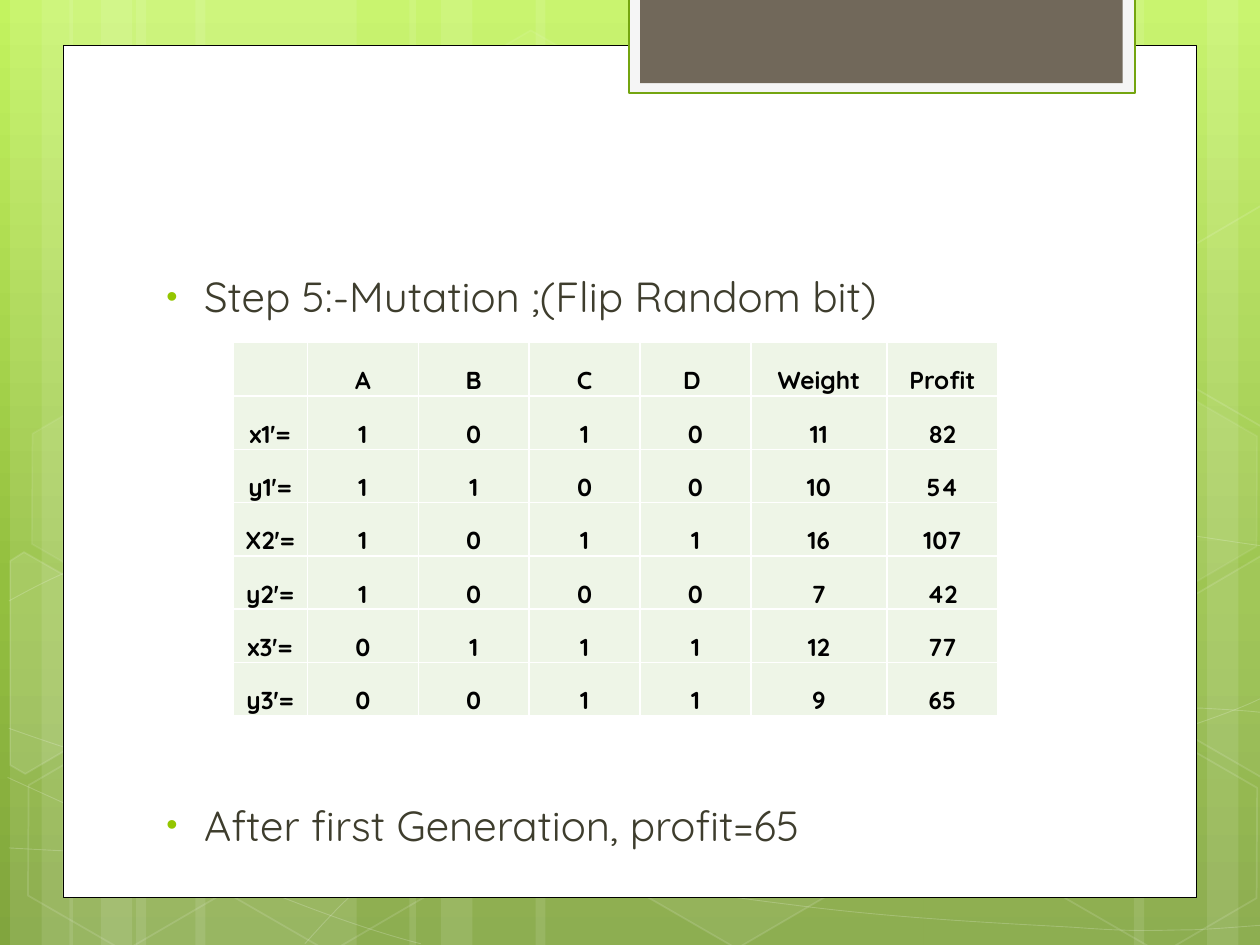
from math import cos, radians, sin

from lxml.etree import SubElement
from pptx import Presentation
from pptx.dml.color import RGBColor
from pptx.enum.shapes import MSO_SHAPE
from pptx.enum.text import MSO_ANCHOR, MSO_AUTO_SIZE, PP_ALIGN
from pptx.oxml.ns import qn
from pptx.util import Inches, Pt

RECT, HEXAGON = MSO_SHAPE.RECTANGLE, MSO_SHAPE.HEXAGON
TOP, BOTTOM, CENTER = MSO_ANCHOR.TOP, MSO_ANCHOR.BOTTOM, PP_ALIGN.CENTER
NO_AUTOFIT = MSO_AUTO_SIZE.NONE
FONT = "Quicksand"
TILT = 30
COLORS = {
    "white": "FFFFFF", "black": "000000", "tab_frame": "F5F5F5",
    "tab_line": "74A510", "tab": "71685A", "bullet": "94C600",
    "text": "3E3D2D", "cell": "EEF5E7",
}
BACKDROP = [(0, "C3F35F"), (62, "93BF3F"), (100, "81A53E")]


def paint(shape, fill=None, fill_opacity=100, line=None, width=1, line_opacity=100):
    """Fill and outline a shape; opacities are percentages."""
    shape.shadow.inherit = False
    for target, color, opacity in ((shape.fill, fill, fill_opacity),
                                   (shape.line.fill, line, line_opacity)):
        if color is None:
            target.background()
            continue
        target.solid()
        target.fore_color.rgb = RGBColor.from_string(COLORS[color])
        if opacity < 100:
            parent = shape._element.spPr
            if target is not shape.fill:
                parent = parent.find(qn("a:ln"))
            srgb = parent.find(qn("a:solidFill")).find(qn("a:srgbClr"))
            SubElement(srgb, qn("a:alpha"), val=str(opacity * 1000))
    if line:
        shape.line.width = Pt(width)


def outline(shapes, points, close):
    """Draw a freeform through points given in inches."""
    points = [(Inches(x), Inches(y)) for x, y in points]
    builder = shapes.build_freeform(*points[0])
    builder.add_line_segments(points[1:], close=close)
    return builder.convert_to_shape()


prs = Presentation()
prs.slide_width, prs.slide_height = Inches(10), Inches(7.5)
slide = prs.slides.add_slide(prs.slide_layouts[1])
shapes = slide.shapes
title = shapes.title._element
title.getparent().remove(title)
steps = slide.placeholders[1]

# Background gradient, light at the top
backdrop = slide.background.fill
backdrop.gradient()
backdrop.gradient_angle = 270
stops = next(slide.element.iter(qn("a:gsLst")))
for stop in list(stops):
    stops.remove(stop)
for position, color in BACKDROP:
    stop = SubElement(stops, qn("a:gs"), pos=str(position * 1000))
    SubElement(stop, qn("a:srgbClr"), val=color)

# Translucent vertical bands: left, width
for left, width in [(1.08, 1.75), (0.08, 0.5), (0.33, 0.83), (1.55, 1.75),
                    (0.55, 0.5), (0.8, 0.83), (7.33, 1.75), (9.58, 0.5),
                    (9, 0.83), (4.25, 3.08), (3.25, 0.5), (3.5, 0.83)]:
    band = shapes.add_shape(RECT, Inches(left), 0, Inches(width), prs.slide_height)
    paint(band, "white", 10)

# Sweeping curves: a start point, then two control points and an end per piece
curves = [
    [(0.07, 6.73), (0.61, 6.76), (1.15, 6.79), (1.9, 6.78), (2.65, 6.77),
     (3.58, 6.75), (4.58, 6.65), (5.58, 6.55), (7, 6.36), (7.92, 6.17),
     (8.83, 5.98), (9.77, 5.68), (10.07, 5.51)],
    [(0.07, 4.77), (0.36, 4.61), (0.65, 4.46), (1.21, 4.31), (1.78, 4.16),
     (2.59, 3.94), (3.47, 3.87), (4.36, 3.8), (5.44, 3.79), (6.54, 3.87),
     (7.64, 3.95), (9.47, 4.26), (10.07, 4.34)],
    [(0.06, 6.17), (1.27, 6.72), (2.47, 7.27), (3.34, 7.49)],
    [(0.07, 5.78), (0.38, 5.89), (0.7, 6), (1.28, 6.16), (1.86, 6.31),
     (2.73, 6.56), (3.57, 6.73), (4.4, 6.9), (5.45, 7.08), (6.28, 7.18),
     (7.11, 7.29), (8, 7.33), (8.53, 7.36), (9.05, 7.4), (9.19, 7.38),
     (9.45, 7.38), (9.71, 7.37), (9.89, 7.35), (10.07, 7.34)],
    [(2.42, 7.49), (2.6, 7.29), (2.78, 7.09), (3.02, 6.91), (3.26, 6.73),
     (3.6, 6.53), (3.88, 6.39), (4.16, 6.25), (4.33, 6.19), (4.7, 6.09),
     (5.06, 5.99), (5.73, 5.85), (6.08, 5.78), (6.44, 5.71), (6.49, 5.71),
     (6.8, 5.69), (7.11, 5.66), (7.6, 5.63), (7.94, 5.62), (8.29, 5.61),
     (8.86, 5.62), (8.86, 5.62), (9.08, 5.62), (9.31, 5.62), (9.53, 5.62),
     (9.71, 5.63), (9.88, 5.64), (9.97, 5.65), (10.06, 5.66), (10.03, 5.65),
     (10.06, 5.66)],
]
for curve in curves:
    sweep = outline(shapes, curve, False)
    # Turn every three straight segments into one Bézier piece
    route = next(sweep._element.iter(qn("a:path")))
    segments = route.findall(qn("a:lnTo"))
    for i in range(0, len(segments), 3):
        bezier = SubElement(route, qn("a:cubicBezTo"))
        for segment in segments[i:i + 3]:
            bezier.append(segment[0])
            route.remove(segment)
    paint(sweep, line="white", width=0.5, line_opacity=20)

# Tilted hexagons: left, top, fill opacity, line opacity
for left, top, fill_opacity, line_opacity in [
        (3.34, 0.36, 4, 8), (4.97, 5.89, 6, 12), (0.11, 5.91, 0, 12),
        (0.14, 3.12, 7, 8), (1.74, 5.92, 0, 12), (7.53, 4.53, 10, 12),
        (8.34, 5.93, 0, 12), (8.34, 3.14, 7, 8)]:
    honeycomb = shapes.add_shape(HEXAGON, Inches(left), Inches(top), Inches(1.75), Inches(1.52))
    honeycomb.adjustments[0] = 0.285
    honeycomb.adjustments[1] = 1.155
    honeycomb.rotation = TILT
    paint(honeycomb, "white" if fill_opacity else None, fill_opacity, "white", 1, line_opacity)

# Hexagons cut off by the slide edges: centre, corners as seen, fill opacity
for (cx, cy), corners, fill_opacity in [
        ((0.36, 5.35), [(0.08, 4.45), (0.19, 4.38), (0.96, 4.82),
                        (0.95, 5.7), (0.2, 6.14), (0.08, 6.07)], 10),
        ((9.85, 5.2), [(9.26, 4.85), (10.01, 4.41), (10.09, 4.46),
                       (10.09, 6.13), (10.02, 6.17), (9.26, 5.73)], 4),
        ((9.85, 2.41), [(9.26, 2.07), (10.01, 1.63), (10.1, 1.68),
                        (10.09, 3.35), (10.02, 3.39), (9.26, 2.95)], 0)]:
    c, s = cos(radians(TILT)), sin(radians(TILT))
    upright = [(cx + (x - cx) * c + (y - cy) * s, cy - (x - cx) * s + (y - cy) * c)
               for x, y in corners]
    cut = outline(shapes, upright, True)
    cut.rotation = TILT
    paint(cut, "white" if fill_opacity else None, fill_opacity, "white", 1, 12)

# White page and the tab hanging from the top
for left, top, width, height, fill, line, weight in [
        (0.5, 0.36, 9, 6.76, "white", "black", 0.5),
        (4.99, -0.02, 4.02, 0.76, "tab_frame", "tab_line", 1.25),
        (5.08, -0.02, 3.83, 0.68, "tab", None, 0)]:
    panel = shapes.add_shape(RECT, Inches(left), Inches(top), Inches(width), Inches(height))
    paint(panel, fill, line=line, width=weight)

# Bulleted steps above and below the table, in front of the page
shapes._spTree.append(steps._element)
steps.left, steps.top, steps.width, steps.height = (
    Inches(1.14), Inches(2.1), Inches(7.72), Inches(4.65))
frame = steps.text_frame
frame.text = "Step 5:-Mutation ;(Flip Random bit)\nAfter first Generation, profit=65"
frame.auto_size = NO_AUTOFIT
frame.vertical_anchor = TOP
for paragraph, space in zip(frame.paragraphs, (0, 273)):
    paragraph.space_before = Pt(space)
    run_font = paragraph.runs[0].font
    run_font.name, run_font.size = FONT, Pt(24)
    run_font.color.rgb = RGBColor.from_string(COLORS["text"])
    properties = paragraph._p.get_or_add_pPr()
    properties.set("marL", str(Inches(0.38)))
    properties.set("indent", str(Inches(-0.3)))
    SubElement(SubElement(properties, qn("a:buClr")), qn("a:srgbClr"), val=COLORS["bullet"])
    SubElement(properties, qn("a:buSzPct"), val="76000")
    SubElement(properties, qn("a:buFont"), typeface="Arial")
    SubElement(properties, qn("a:buChar"), char="•")

# Mutated population
population = [
    ["", "A", "B", "C", "D ", "Weight", "Profit"],
    ["x1'=", "1", "0", "1", "0", "11", "82"],
    ["y1'=", "1", "1", "0", "0", "10", "54"],
    ["X2'=", "1", "0", "1", "1", "16", "107"],
    ["y2'=", "1", "0", "0", "0", "7", "42"],
    ["x3'=", "0", "1", "1", "1", "12", "77"],
    ["y3'=", "0", "0", "1", "1", "9", "65"],
]
widths = [0.59, 0.88, 0.88, 0.88, 0.88, 1.08, 0.88]
table = shapes.add_table(len(population), len(widths), Inches(1.85), Inches(2.72),
                         Inches(6.08), Inches(2.96)).table
table.first_row = table.horz_banding = False
for column, width in zip(table.columns, widths):
    column.width = Inches(width)
for cell, value in zip(table.iter_cells(), sum(population, [])):
    cell.text = value
    cell.vertical_anchor = BOTTOM
    cell.margin_left = cell.margin_right = cell.margin_top = Inches(0.01)
    cell.margin_bottom = 0
    for side in ("lnL", "lnR", "lnT", "lnB"):
        border = SubElement(cell._tc.get_or_add_tcPr(), qn(f"a:{side}"), w=str(Pt(1)))
        SubElement(SubElement(border, qn("a:solidFill")), qn("a:srgbClr"), val=COLORS["white"])
    cell.fill.solid()
    cell.fill.fore_color.rgb = RGBColor.from_string(COLORS["cell"])
    paragraph = cell.text_frame.paragraphs[0]
    paragraph.alignment = CENTER
    for run in paragraph.runs:
        run.font.name, run.font.size, run.font.bold = FONT, Pt(14), True
        run.font.color.rgb = RGBColor.from_string(COLORS["black"])

prs.save("out.pptx")
